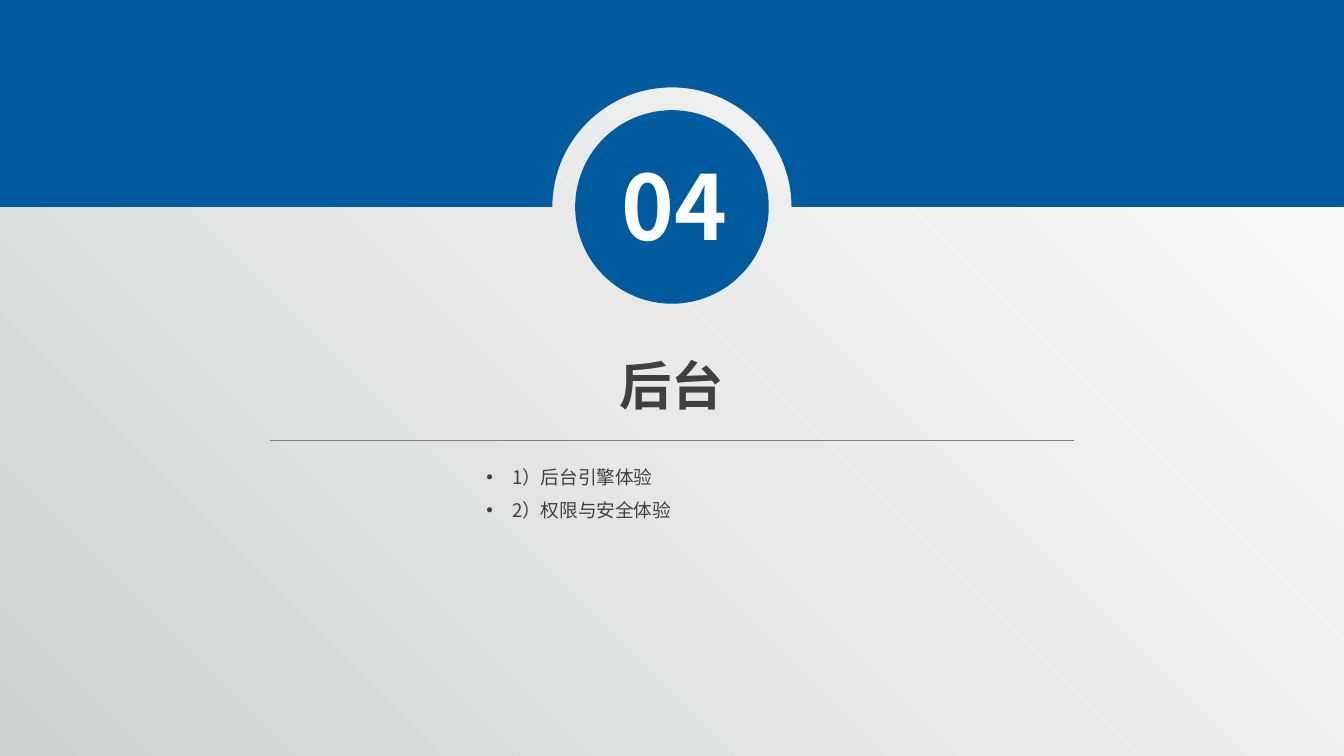
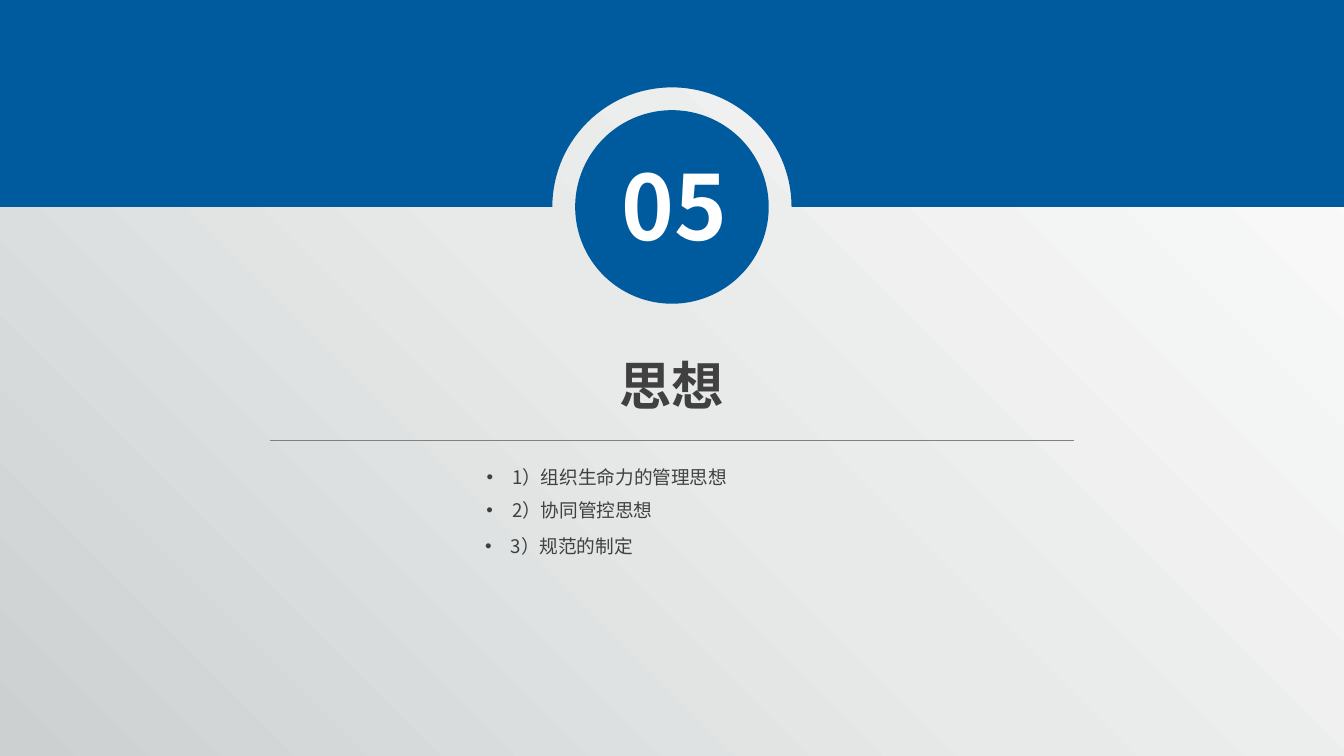
from dataclasses import dataclass
from math import cos, radians, sin

from lxml import etree
from pptx import Presentation
from pptx.dml.color import RGBColor
from pptx.enum.shapes import MSO_CONNECTOR, MSO_SHAPE
from pptx.enum.text import MSO_AUTO_SIZE, PP_ALIGN
from pptx.oxml.ns import qn
from pptx.util import Inches, Pt

RECT, OVAL = MSO_SHAPE.RECTANGLE, MSO_SHAPE.OVAL
STRAIGHT = MSO_CONNECTOR.STRAIGHT
LEFT, CENTER = PP_ALIGN.LEFT, PP_ALIGN.CENTER
GROW = MSO_AUTO_SIZE.SHAPE_TO_FIT_TEXT

PARTS = [
    ("04", "后台", [("1）后台引擎体验", 1.57), ("2）权限与安全体验", 1.57)]),
    ("05", "思想", [("1）组织生命力的管理思想", 2.39), ("2）协同管控思想", 1.57),
                  ("3）规范的制定", 1.57)]),
]
SPOTS = [(3.55, 3.39), (3.55, 3.64), (3.54, 3.91)]
WIDTH = 10
HEIGHT = WIDTH * 9 / 16
MID, EDGE = WIDTH / 2, 1.54
NOTCH, DISC = 0.89, 0.72


@dataclass(frozen=True)
class Theme:
    font: str = "Noto Sans CJK SC"
    blue: str = "005A9E"
    ink: str = "404040"
    rule: str = "808080"
    white: str = "FFFFFF"
    fade: tuple = ((0, "CCD0D1"), (49, "E8EAE9"), (100, "FCFCFC"))
    number: int = 48
    title: int = 28
    item: int = 10


THEME = Theme()


def paint(shape, color):
    shape.shadow.inherit = False
    shape.fill.solid()
    shape.fill.fore_color.rgb = RGBColor.from_string(color)
    shape.line.fill.background()


def add_text(shapes, text, box, size, color=THEME.ink, bold=False,
             align=LEFT, pad=(0.07, 0.04), bullet=False):
    frame = shapes.add_textbox(*map(Inches, box)).text_frame
    frame.word_wrap = True
    frame.auto_size = GROW
    frame.margin_left = frame.margin_right = Inches(pad[0])
    frame.margin_top = frame.margin_bottom = Inches(pad[1])
    para = frame.paragraphs[0]
    para.alignment = align
    if bullet:
        para.line_spacing = 1.2
        props = para._p.get_or_add_pPr()
        props.set("marL", str(Inches(0.19)))
        props.set("indent", str(-Inches(0.19)))
        etree.SubElement(props, qn("a:buFont")).set("typeface", "Arial")
        etree.SubElement(props, qn("a:buChar")).set("char", "•")
    run = para.add_run()
    run.text = text
    font = run.font
    font.name, font.size, font.bold = THEME.font, Pt(size), bold
    font.color.rgb = RGBColor.from_string(color)
    east = etree.SubElement(run._r.get_or_add_rPr(), qn("a:ea"))
    east.set("typeface", THEME.font)


def add_fade(shapes):
    back = shapes.add_shape(RECT, 0, 0, Inches(WIDTH), Inches(HEIGHT))
    paint(back, THEME.white)
    back.fill.gradient()
    back.fill.gradient_angle = 45
    stops = back._element.spPr.find(".//" + qn("a:gsLst"))
    stops.clear()
    for place, color in THEME.fade:
        stop = etree.SubElement(stops, qn("a:gs"), pos=str(place * 1000))
        etree.SubElement(stop, qn("a:srgbClr"), val=color)


def add_band(shapes):
    arc = [(MID - NOTCH * cos(radians(deg)), EDGE - NOTCH * sin(radians(deg)))
           for deg in range(0, 181, 3)]
    spots = [(0, -0.78), (0, EDGE), *arc, (WIDTH, EDGE), (WIDTH, -0.78)]
    start, *rest = [(Inches(x), Inches(y)) for x, y in spots]
    path = shapes.build_freeform(*start)
    path.add_line_segments(rest, close=True)
    paint(path.convert_to_shape(), THEME.blue)


def add_rule(shapes):
    rule = shapes.add_connector(STRAIGHT, *map(Inches, (2.01, 3.28, 7.99, 3.28)))
    rule.line.color.rgb = RGBColor.from_string(THEME.rule)
    rule.line.width = Pt(0.75)
    etree.SubElement(rule._element.spPr, qn("a:effectLst"))


def add_badge(shapes, number):
    badge = shapes.add_group_shape().shapes
    box = (MID - DISC, EDGE - DISC, 2 * DISC, 2 * DISC)
    paint(badge.add_shape(OVAL, *map(Inches, box)), THEME.blue)
    add_text(badge, number, (4.47, 1.08, 1.09, 0.88), THEME.number,
             color=THEME.white, bold=True, align=CENTER)


def add_part(deck, number, title, items):
    shapes = deck.slides.add_slide(deck.slide_layouts[6]).shapes
    add_fade(shapes)
    add_band(shapes)
    add_text(shapes, title, (3.23, 2.58, 3.54, 0.57), THEME.title,
             bold=True, align=CENTER, pad=(0.1, 0.05))
    add_rule(shapes)
    add_badge(shapes, number)
    for (left, top), (text, width) in zip(SPOTS, items):
        add_text(shapes, text, (left, top, width, 0.28), THEME.item, bullet=True)


def main():
    deck = Presentation()
    deck.slide_width, deck.slide_height = Inches(WIDTH), Inches(HEIGHT)
    for part in PARTS:
        add_part(deck, *part)
    deck.save("out.pptx")


if __name__ == "__main__":
    main()
